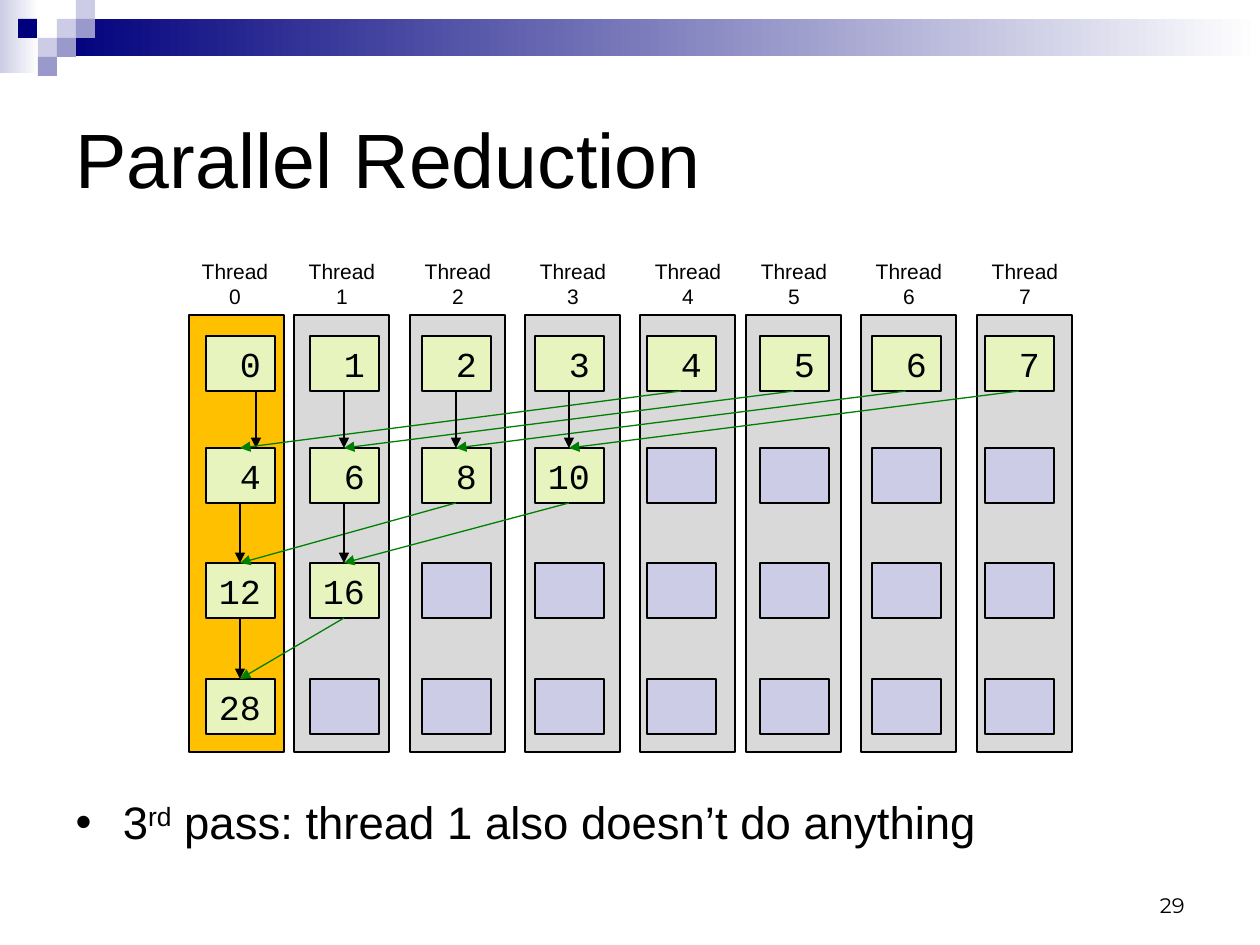
from lxml import etree
from pptx import Presentation
from pptx import util as u
from pptx.dml.color import RGBColor
from pptx.enum import shapes, text
from pptx.oxml.ns import qn

PX = u.Inches(1) / 126
COLORS = {
    "navy": "00007D", "violet": "9999CC", "lilac": "CCCCE6", "white": "FFFFFF",
    "black": "000000", "lane": "D9D9D9", "active": "FFC000",
    "value": "E7F4BE", "green": "008000",
}
RGB = {name: RGBColor.from_string(value) for name, value in COLORS.items()}


def add_box(at, fill, outlined=False):
    """Add a rectangle; a pair of fills makes a left-to-right gradient."""
    sp = s.shapes.add_shape(shapes.MSO_SHAPE.RECTANGLE, *[round(v * PX) for v in at])
    sp.shadow.inherit = False
    if isinstance(fill, tuple):
        sp.fill.gradient()
        sp.fill.gradient_angle = 0
        for stop, name in zip(sp.fill.gradient_stops, fill):
            stop.color.rgb = RGB[name]
    else:
        sp.fill.solid()
        sp.fill.fore_color.rgb = RGB[fill]
    if outlined:
        sp.line.color.rgb = RGB["black"]
        sp.line.width = u.Pt(0.75)
    else:
        sp.line.fill.background()
    return sp


def write(sp, lines, size, font="Arial", align="LEFT", anchor="TOP", **frame):
    """Fill a shape with one paragraph per line; return the text frame."""
    tf = sp.text_frame
    tf.text = "\n".join(lines)
    settings = {"word_wrap": True, "auto_size": text.MSO_AUTO_SIZE.NONE,
                "vertical_anchor": text.MSO_ANCHOR[anchor], **frame}
    for name, value in settings.items():
        setattr(tf, name, value)
    for p in tf.paragraphs:
        p.alignment = text.PP_ALIGN[align]
        p.space_before = u.Pt(0)
        for r in p.runs:
            r.font.name = font
            r.font.size = u.Pt(size)
            r.font.color.rgb = RGB["black"]
    return tf


prs = Presentation()
prs.slide_width, prs.slide_height = u.Inches(10), u.Inches(7.5)
s = prs.slides.add_slide(prs.slide_layouts[1])

# Header band and mosaic
add_box((0, 0, 39, 73), ("lilac", "white"))
add_box((57, 19, 1203, 37), ("navy", "white"))
mosaic = [(57, 19, "lilac"), (76, 0, "lilac"), (76, 19, "violet"), (38, 38, "lilac"),
          (18, 19, "navy"), (57, 38, "violet"), (38, 57, "violet")]
for x, y, fill in mosaic:
    add_box((x, y, 19, 19), fill)

# Title
title = s.shapes.title
title.left, title.top, title.width, title.height = [round(v * PX) for v in (63, 63, 1134, 189)]
write(title, ["Parallel Reduction"], 44, anchor="MIDDLE")

# Thread lanes
lane_lefts = [189, 294, 410, 525, 640, 746, 861, 977]
for i, x in enumerate(lane_lefts):
    add_box((x, 315, 95, 437), "lane" if i else "active", True)
    label = s.shapes.add_textbox(*[round(v * PX) for v in (x + (2 if i else 0), 252, 92, 64)])
    write(label, ["Thread", str(i)], 12, align="CENTER")

# Values after each pass; lanes without a value hold an empty cell
passes = [range(8), [4, 6, 8, 10], [12, 16], [28]]
row_tops = [336, 448, 563, 679]
cell_lefts = [206] + [310 + 225 * i // 2 for i in range(7)]
CELL_W, CELL_H = 69, 55
for values, y in zip(passes, row_tops):
    for i, x in enumerate(cell_lefts):
        has_value = i < len(values)
        cell = add_box((x, y, CELL_W, CELL_H), "value" if has_value else "lilac", True)
        if has_value:
            write(cell, [str(values[i])], 20, "Courier New", "RIGHT", "MIDDLE",
                  margin_left=0, margin_right=round(14 * PX))

# Each sum takes its own lane (black) and the lane one stride away (green)
centers = [x + CELL_W // 2 for x in cell_lefts]
arrows = []
for row, values in enumerate(passes[1:]):
    stride = len(values)
    y1, y2 = row_tops[row] + CELL_H, row_tops[row + 1]
    for i in range(stride):
        nudge = 16 if row == i == 0 else 0
        arrows.append((centers[i] + nudge, y1, centers[i] + nudge, y2, "black"))
        arrows.append((centers[i + stride], y1, centers[i], y2, "green"))
for *ends, color in arrows:
    c = s.shapes.add_connector(shapes.MSO_CONNECTOR.STRAIGHT, *[round(v * PX) for v in ends])
    c.line.color.rgb = RGB[color]
    c.line.width = u.Pt(0.75)
    etree.SubElement(c.line._get_or_add_ln(), qn("a:tailEnd"), type="triangle")
    etree.SubElement(c._element.spPr, qn("a:effectLst"))

# Bullet
body = s.placeholders[1]
body.left, body.top, body.width, body.height = [round(v * PX) for v in (63, 788, 1134, 84)]
p = body.text_frame.paragraphs[0]
pPr = p._p.get_or_add_pPr()
indent = round(47 * PX)
pPr.set("marL", str(indent))
pPr.set("indent", str(-indent))
color = etree.SubElement(pPr, qn("a:buClr"))
etree.SubElement(color, qn("a:srgbClr"), val=COLORS["navy"])
etree.SubElement(pPr, qn("a:buSzPct"), val="75000")
etree.SubElement(pPr, qn("a:buFont"), typeface="Arial")
etree.SubElement(pPr, qn("a:buChar"), char="■")
tf = write(body, ["3"], 26)
for words, baseline in [("rd", "30000"), (" pass: thread 1 also doesn’t do anything", "0")]:
    r = tf.paragraphs[0].add_run()
    r.text = words
    r.font.name, r.font.size = "Arial", u.Pt(26)
    r.font.color.rgb = RGB["black"]
    r._r.get_or_add_rPr().set("baseline", baseline)

# Page number
number = s.shapes.add_textbox(*[round(v * PX) for v in (903, 861, 294, 63)])
write(number, ["29"], 12, "Montserrat", "RIGHT", "BOTTOM")

prs.save("out.pptx")
